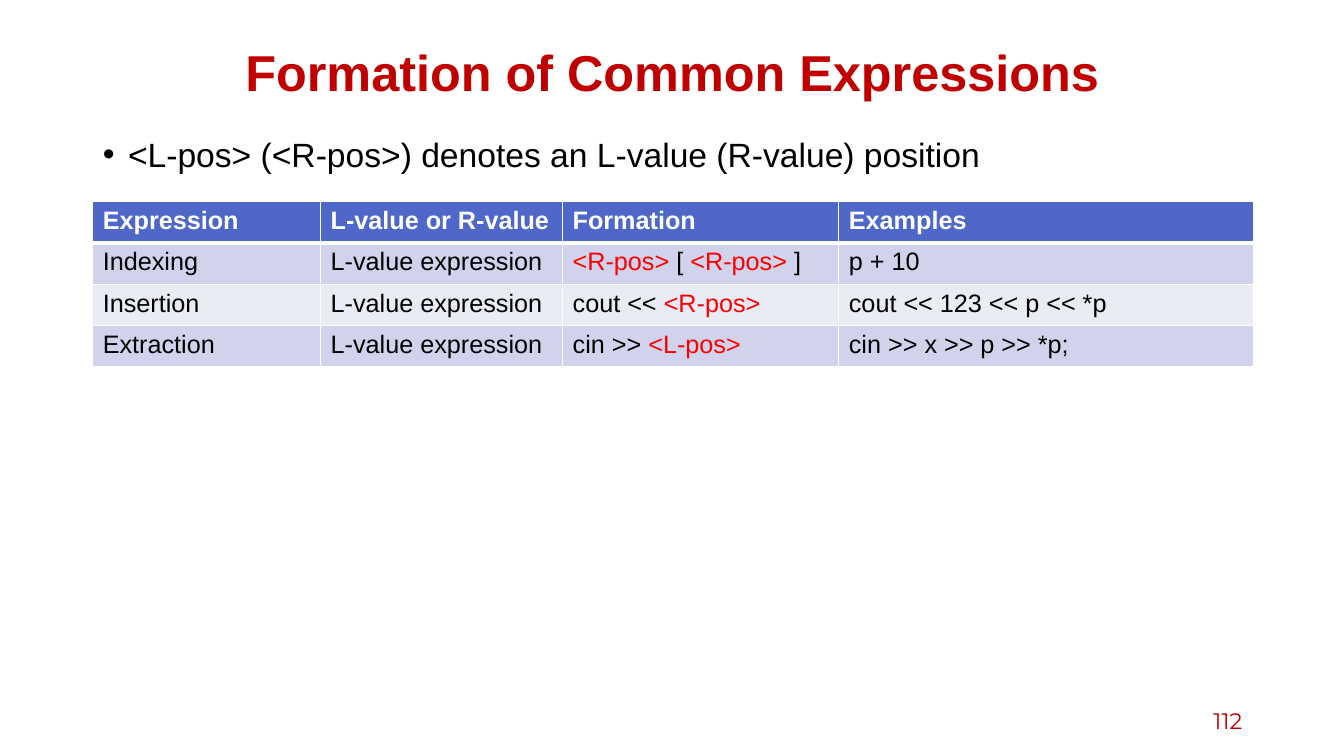
from lxml.etree import SubElement
from pptx import Presentation
from pptx.dml.color import RGBColor
from pptx.enum.text import MSO_ANCHOR as ANCHOR, MSO_AUTO_SIZE as AUTO, PP_ALIGN as ALIGN
from pptx.oxml.ns import qn
from pptx.util import Inches, Pt

COLORS = {"title": "C00000", "text": "000000", "slot": "FF0000", "white": "FFFFFF",
          "header": "4E67C8", "odd": "D0D3EB", "even": "E9EBF5"}


def add_run(p, text, size, color, bold=False, name="Arial"):
    r = p.add_run()
    r.text = text
    for key, value in {"size": Pt(size), "bold": bold, "name": name}.items():
        setattr(r.font, key, value)
    r.font.color.rgb = RGBColor.from_string(COLORS[color])


def place(sp, left, top, width, height, anchor):
    sp.left, sp.top, sp.width, sp.height = map(Inches, (left, top, width, height))
    tf = sp.text_frame
    for key, value in {"word_wrap": True, "auto_size": AUTO.NONE,
                       "vertical_anchor": anchor}.items():
        setattr(tf, key, value)
    return tf.paragraphs[0]


prs = Presentation()
prs.slide_width, prs.slide_height = Inches(13.33), Inches(7.5)
s = prs.slides.add_slide(prs.slide_layouts[1])

p = place(s.shapes.title, 0.92, 0.4, 11.5, 0.7, ANCHOR.MIDDLE)
p.alignment, p.line_spacing = ALIGN.CENTER, 0.9
add_run(p, "Formation of Common Expressions", 36, "title", True)

p = place(s.placeholders[1], 0.92, 1.32, 11.5, 5.51, ANCHOR.TOP)
p.line_spacing, p.space_before = 0.9, Pt(10)
pPr = p._p.get_or_add_pPr()
pPr.set("marL", str(Inches(0.25)))
pPr.set("indent", str(Inches(-0.25)))
SubElement(pPr, qn("a:buFont")).set("typeface", "Arial")
SubElement(pPr, qn("a:buChar")).set("char", "•")
add_run(p, "<L-pos> (<R-pos>) denotes an L-value (R-value) position", 24, "text")

rows = [
    ["Expression", "L-value or R-value", "Formation", "Examples"],
    ["Indexing", "L-value expression", "<R-pos> |[ |<R-pos> |]", "p + 10"],
    ["Insertion", "L-value expression", "cout << |<R-pos>", "cout << 123 << p << *p"],
    ["Extraction", "L-value expression", "cin >> |<L-pos>", "cin >> x >> p >> *p;"],
]
widths = [2.26, 2.4, 2.74, 4.11]
row_height = 0.41
table = s.shapes.add_table(len(rows), len(widths), Inches(0.92), Inches(2),
                           Inches(sum(widths)), Inches(row_height * len(rows))).table
for column, width in zip(table.columns, widths):
    column.width = Inches(width)

for i, row in enumerate(rows):
    table.rows[i].height = Inches(row_height)
    fill = "header" if i == 0 else ("even", "odd")[i % 2]
    for j, text in enumerate(row):
        cell = table.cell(i, j)
        p = cell.text_frame.paragraphs[0]
        for part in text.split("|"):
            color = "white" if i == 0 else "slot" if part.startswith("<") else "text"
            add_run(p, part, 18, color, i == 0)
        tcPr = cell._tc.get_or_add_tcPr()
        for side in ("lnL", "lnR", "lnT", "lnB"):
            thick = (i, side) in ((0, "lnB"), (1, "lnT"))
            ln = SubElement(tcPr, qn(f"a:{side}"), w=str(Pt(3 if thick else 1)))
            line_fill = SubElement(ln, qn("a:solidFill"))
            SubElement(line_fill, qn("a:srgbClr"), val=COLORS["white"])
        cell.fill.solid()
        cell.fill.fore_color.rgb = RGBColor.from_string(COLORS[fill])

number = s.shapes.add_textbox(0, 0, 0, 0)
p = place(number, 9.42, 6.95, 3, 0.4, ANCHOR.MIDDLE)
p.alignment = ALIGN.RIGHT
add_run(p, "112", 16, "title", name="Montserrat")

prs.save("out.pptx")
